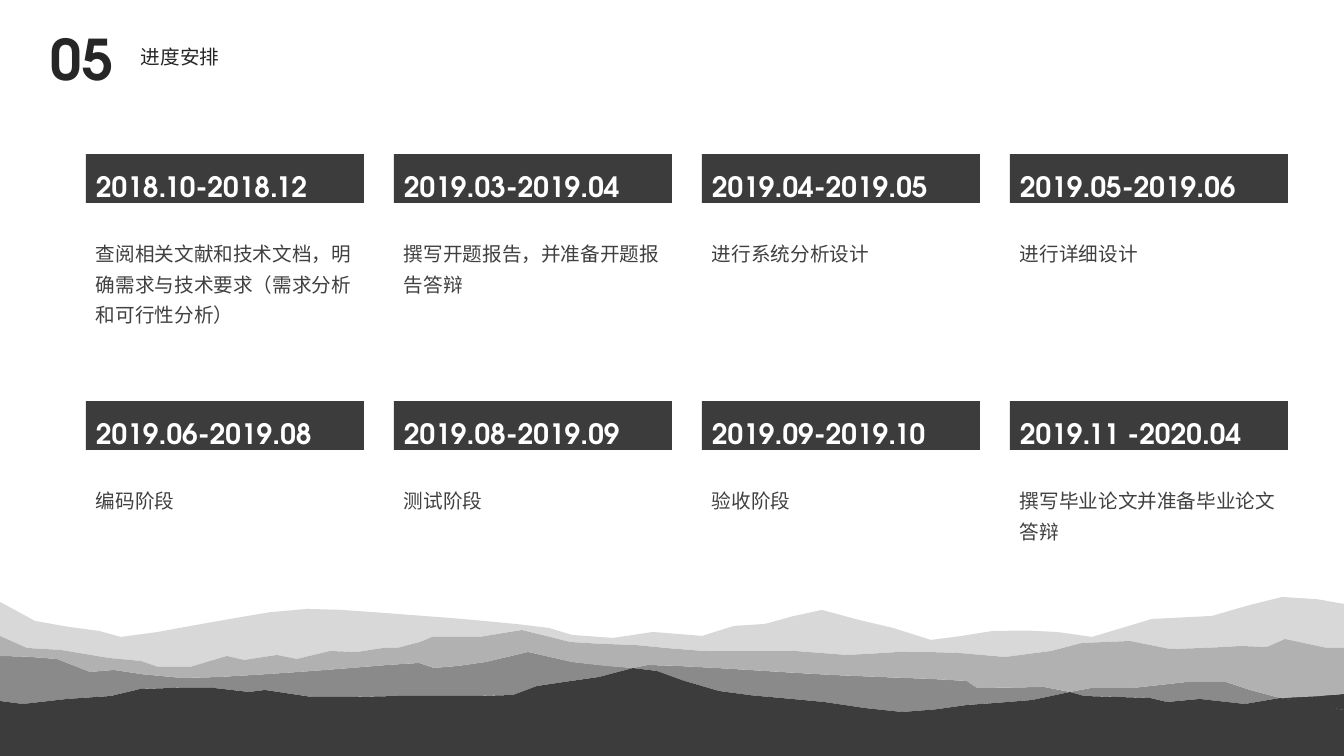
import math

import lxml.etree
import pptx
import pptx.dml.color
import pptx.enum.shapes
import pptx.enum.text
import pptx.oxml.ns
import pptx.util

# Content
SECTION_NUMBER = "05"
SECTION_TITLE = "进度安排"
STAGES = [
    ("2018.10-2018.12", "查阅相关文献和技术文档，明确需求与技术要求（需求分析和可行性分析）"),
    ("2019.03-2019.04", "撰写开题报告，并准备开题报告答辩"),
    ("2019.04-2019.05", "进行系统分析设计"),
    ("2019.05-2019.06", "进行详细设计"),
    ("2019.06-2019.08", "编码阶段"),
    ("2019.08-2019.09", "测试阶段"),
    ("2019.09-2019.10", "验收阶段"),
    ("2019.11 -2020.04", "撰写毕业论文并准备毕业论文答辩"),
]

# Ridge lines of the mountains, left to right, in px
FAR_RIDGE = [
    (0, 602), (35, 621), (99, 631), (121, 637), (158, 632), (236, 618),
    (307, 609), (410, 615), (484, 621), (549, 628), (572, 635), (613, 638),
    (653, 632), (702, 636), (734, 626), (765, 624), (822, 610), (859, 620), (893, 628),
    (931, 640), (993, 631), (1057, 632), (1092, 637), (1152, 619), (1212, 616),
    (1282, 597), (1344, 604),
]
MIDDLE_RIDGE = [
    (0, 636), (27, 648), (61, 650), (109, 658), (141, 661), (158, 667), (190, 667),
    (227, 656), (244, 660), (277, 655), (297, 659), (330, 651), (357, 652),
    (383, 648), (397, 648), (420, 642), (432, 637), (479, 637), (522, 630), (570, 642),
    (635, 645), (704, 651), (795, 651), (847, 655), (898, 652), (959, 653), (1005, 657),
    (1051, 651), (1082, 643), (1130, 641), (1170, 649), (1241, 646), (1267, 647),
    (1285, 639), (1327, 648), (1344, 648),
]
NEAR_RIDGE = [
    (0, 656), (57, 659), (90, 672), (114, 670), (182, 678), (299, 672), (419, 663),
    (434, 668), (486, 662), (528, 652), (572, 662), (633, 668), (648, 665),
    (716, 668), (832, 675), (967, 681), (977, 688), (1044, 687), (1070, 692), (1091, 688),
    (1133, 688), (1187, 682), (1226, 682), (1250, 690), (1280, 698), (1344, 694),
]
FRONT_RIDGE = [
    (0, 701), (23, 704), (67, 699), (111, 696), (140, 689), (214, 688), (249, 692),
    (265, 690), (312, 697), (398, 696), (513, 695), (537, 686),
    (599, 677), (633, 668), (657, 671), (719, 691), (824, 702), (902, 712), (967, 705),
    (1032, 700), (1070, 692), (1084, 696), (1150, 698), (1167, 702), (1200, 699),
    (1245, 704), (1280, 698), (1344, 710),
]
# Where the near and front ridges cross
CROSSINGS = [(633, 668), (1070, 692), (1280, 698)]

THEME = {
    "far": "D8D8D8", "middle": "B1B1B1", "near": "8A8A8A", "front": "3C3C3C",
    "cjk": "Noto Sans CJK SC",
    "number": {"size": 40, "bold": True, "name": "TeX Gyre Adventor", "color": "262626"},
    "title": {"size": 14, "bold": False, "name": "TeX Gyre Adventor", "color": "262626"},
    "date": {"size": 20, "bold": True, "name": "TeX Gyre Adventor", "color": "FFFFFF"},
    "task": {"size": 14, "bold": False, "name": "Noto Sans CJK SC", "color": "404040"},
}
HEADING_SPACING = {"line_spacing": 0.9, "space_before": pptx.util.Pt(10)}
CARD_SPACING = {"line_spacing": 1.3}

# Layout in px
SLIDE_W, SLIDE_H = 1344, 756
EMU_PER_PX = 12192000 / SLIDE_W
COLUMNS, CARD_W = 4, 278
CARD_LEFT, CARD_TOP = 86, 154
COLUMN_PITCH, ROW_PITCH = 308, 247
BAR_H, TASK_OFFSET = 49, 76
TASK_LINE_H, TASK_PAD, CHARS_PER_LINE = 31, 7, 13
CURVE_STEP = 50


def px(length):
    return pptx.util.Emu(round(length * EMU_PER_PX))


def rgb(code):
    return pptx.dml.color.RGBColor.from_string(code)


def paint(shape, color):
    shape.shadow.inherit = False
    shape.fill.solid()
    shape.fill.fore_color.rgb = rgb(color)
    shape.line.fill.background()


def write(shape, text, style, spacing, anchor="TOP", grow=False):
    frame = shape.text_frame
    sizing = pptx.enum.text.MSO_AUTO_SIZE
    frame_format = {
        "word_wrap": True,
        "vertical_anchor": pptx.enum.text.MSO_ANCHOR[anchor],
        "auto_size": sizing.SHAPE_TO_FIT_TEXT if grow else sizing.NONE,
    }
    paragraph = frame.paragraphs[0]
    run = paragraph.add_run()
    run.text = text
    look = THEME[style]
    font_format = {"size": pptx.util.Pt(look["size"]), "bold": look["bold"], "name": look["name"]}
    paragraph_format = {"alignment": pptx.enum.text.PP_ALIGN.LEFT, **spacing}
    for target, values in ((frame, frame_format), (paragraph, paragraph_format), (run.font, font_format)):
        for key, value in values.items():
            setattr(target, key, value)
    run.font.color.rgb = rgb(look["color"])
    east_asian = lxml.etree.SubElement(run.font._element, pptx.oxml.ns.qn("a:ea"))
    east_asian.set("typeface", THEME["cjk"])


def smooth(anchors):
    """Run a Catmull-Rom curve through the anchors, with more points on long spans."""
    if len(anchors) == 2:
        return anchors
    padded = [anchors[0], *anchors, anchors[-1]]
    curve = []
    for a, b, c, d in zip(padded, padded[1:], padded[2:], padded[3:]):
        steps = math.ceil((c[0] - b[0]) / CURVE_STEP)
        for t in (step / steps for step in range(steps)):
            curve.append(tuple(
                q + t * (r - p) / 2 + t**2 * (2 * p - 5 * q + 4 * r - s) / 2
                + t**3 * (3 * q - p - 3 * r + s) / 2
                for p, q, r, s in zip(a, b, c, d)))
    return curve + [anchors[-1]]


def split(ridge):
    cuts = [0, *(ridge.index(point) for point in CROSSINGS), len(ridge) - 1]
    return [ridge[start:end + 1] for start, end in zip(cuts, cuts[1:])]


def add_band(slide, upper, lower, color):
    outline = [(px(x), px(y)) for x, y in smooth(upper) + smooth(lower)[::-1]]
    builder = slide.shapes.build_freeform(*outline[0], scale=1.0)
    builder.add_line_segments(outline[1:], close=True)
    paint(builder.convert_to_shape(), THEME[color])


def add_text(slide, box, *args, **kwargs):
    write(slide.shapes.add_textbox(*map(px, box)), *args, **kwargs)


def main():
    deck = pptx.Presentation()
    deck.slide_width, deck.slide_height = px(SLIDE_W), px(SLIDE_H)
    slide = deck.slides.add_slide(deck.slide_layouts[6])

    # Mountains
    add_band(slide, FAR_RIDGE, MIDDLE_RIDGE, "far")
    hill_colors = ["near", "near", "near", "front"]
    for upper, lower, color in zip(split(NEAR_RIDGE), split(FRONT_RIDGE), hill_colors):
        add_band(slide, upper, lower, color)
    add_band(slide, MIDDLE_RIDGE, NEAR_RIDGE, "middle")
    add_band(slide, FRONT_RIDGE, [(0, SLIDE_H), (SLIDE_W, SLIDE_H)], "front")

    # Heading
    add_text(slide, (41, 27, 89, 65), SECTION_NUMBER, "number", HEADING_SPACING)
    add_text(slide, (131, 40, 206, 37), SECTION_TITLE, "title", HEADING_SPACING, anchor="MIDDLE")

    # Stage cards
    for index, (date, task) in enumerate(STAGES):
        row, column = divmod(index, COLUMNS)
        left = CARD_LEFT + column * COLUMN_PITCH
        top = CARD_TOP + row * ROW_PITCH
        task_h = TASK_PAD + TASK_LINE_H * math.ceil(len(task) / CHARS_PER_LINE)
        add_text(slide, (left, top + TASK_OFFSET, CARD_W, task_h), task, "task", CARD_SPACING, grow=True)
        date_bar = slide.shapes.add_shape(
            pptx.enum.shapes.MSO_SHAPE.RECTANGLE, *map(px, (left, top, CARD_W, BAR_H)))
        paint(date_bar, THEME["front"])
        write(date_bar, date, "date", CARD_SPACING, grow=True)

    deck.save("out.pptx")


if __name__ == "__main__":
    main()
